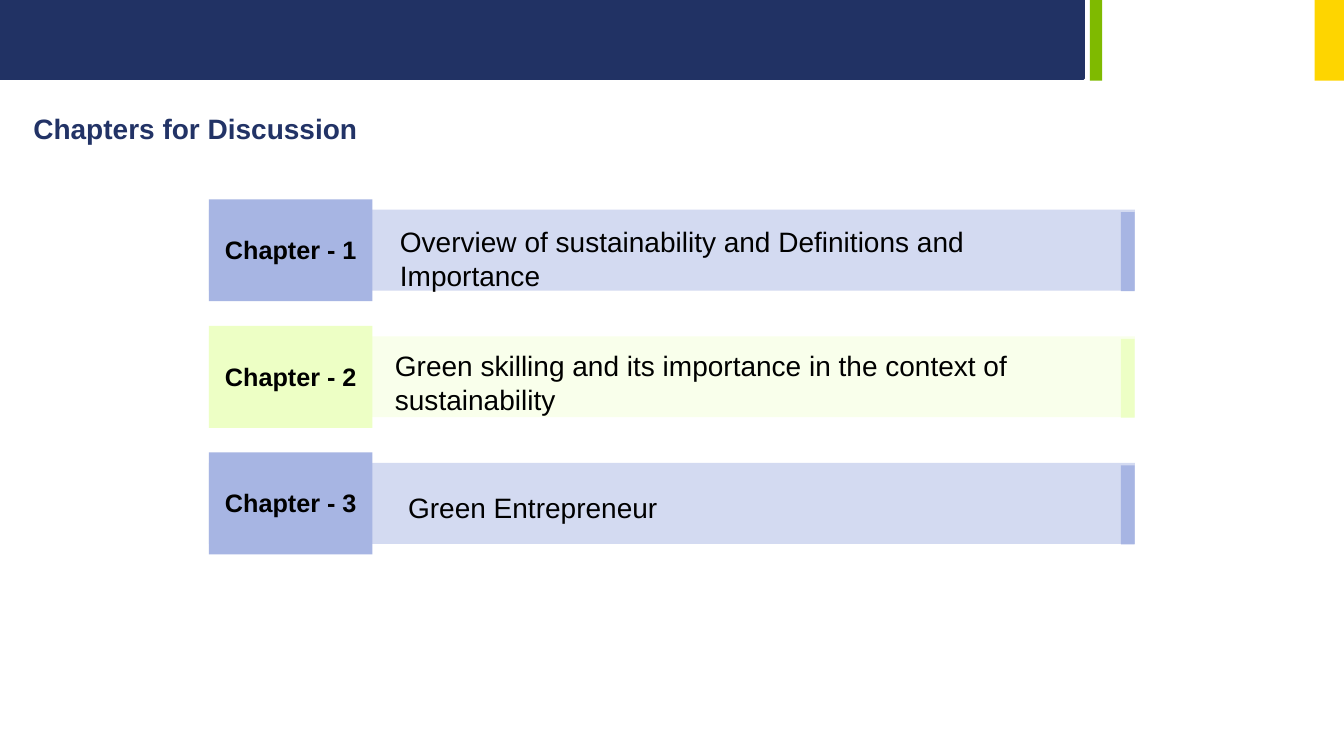
"""Build the slide that lists the chapters for discussion."""
import pptx
import pptx.dml.color
import pptx.enum.shapes
import pptx.enum.text
import pptx.util

Pt = pptx.util.Pt
SHAPE = pptx.enum.shapes.MSO_SHAPE
ALIGN = pptx.enum.text.PP_ALIGN

COLORS = {
    "navy": "213264",
    "green": "7FBA00",
    "yellow": "FED500",
    "title": "223366",
    "black": "000000",
    "blue": "A7B5E3",
    "pale blue": "D3DAF1",
    "lime": "EDFFC5",
    "pale lime": "F9FFEB",
}
WIDE_INSETS = (9.4, 4.8)
NORMAL_INSETS = (7.2, 3.6)
CHAPTER_TOP = 142.4
CHAPTER_PITCH = 90.4
CHAPTER_LEFT = 149.2
CHAPTERS = [
    ("blue", "Overview of sustainability and Definitions and Importance", (278.6, 157, 480, 55.4)),
    ("lime", "Green skilling and its importance in the context of sustainability", (275, 245.5, 480, 55.4)),
    ("blue", "Green Entrepreneur", (284.4, 347, 480, 31.7)),
]


def rgb(color):
    """Return the named colour as an RGB value."""
    return pptx.dml.color.RGBColor.from_string(COLORS[color])


def add_block(shapes, box, color, geometry=SHAPE.RECTANGLE, line_width=None):
    """Add a filled block, outlined in its own colour if a line width is given."""
    shape = shapes.add_shape(geometry, *map(Pt, box))
    shape.shadow.inherit = False
    shape.fill.solid()
    shape.fill.fore_color.rgb = rgb(color)
    if line_width:
        shape.line.color.rgb = rgb(color)
        shape.line.width = Pt(line_width)
    else:
        shape.line.fill.background()
    if geometry == SHAPE.ROUNDED_RECTANGLE:
        shape.adjustments[0] = 0


def add_text(shapes, box, text, insets=NORMAL_INSETS, color="black", alignment=None, **font_format):
    """Add a wrapped text box with one paragraph."""
    frame = shapes.add_textbox(*map(Pt, box)).text_frame
    horizontal, vertical = map(Pt, insets)
    frame_format = {
        "word_wrap": True,
        "auto_size": pptx.enum.text.MSO_AUTO_SIZE.SHAPE_TO_FIT_TEXT,
        "margin_left": horizontal,
        "margin_right": horizontal,
        "margin_top": vertical,
        "margin_bottom": vertical,
    }
    for name, value in frame_format.items():
        setattr(frame, name, value)
    paragraph = frame.paragraphs[0]
    paragraph.alignment = alignment
    run = paragraph.add_run()
    run.text = text
    for name, value in {"name": "Arial", "size": Pt(20), **font_format}.items():
        setattr(run.font, name, value)
    run.font.color.rgb = rgb(color)


def add_chapter(slide, number, color):
    """Add the grouped bar, label card and end accent of one chapter."""
    top = CHAPTER_TOP + (number - 1) * CHAPTER_PITCH
    shapes = slide.shapes.add_group_shape().shapes
    blocks = [
        ((CHAPTER_LEFT, top + 7.4, 661.4, 57.8), f"pale {color}"),
        ((CHAPTER_LEFT, top, 116.8, 72.8), color),
        ((800.6, top + 9.2, 9.8, 56.4), color),
    ]
    for box, fill in blocks:
        add_block(shapes, box, fill, SHAPE.ROUNDED_RECTANGLE)
    add_text(shapes, (149.6, top + 20.4, 116.2, 31.7), f"Chapter - {number}",
             WIDE_INSETS, alignment=ALIGN.CENTER, size=Pt(18), bold=True)


def main():
    """Build and save the presentation."""
    presentation = pptx.Presentation()
    presentation.slide_width = Pt(960)
    presentation.slide_height = Pt(540)
    slide = presentation.slides.add_slide(presentation.slide_layouts[6])
    add_block(slide.shapes, (0, 0, 774, 56), "navy", line_width=2)
    add_block(slide.shapes, (778.5, 0, 8.8, 57.6), "green")
    add_block(slide.shapes, (939, 0, 21, 57.6), "yellow")
    add_text(slide.shapes, (14.4, 75, 391, 33.8), "Chapters for Discussion",
             WIDE_INSETS, "title", bold=True)
    for number, (color, _, _) in enumerate(CHAPTERS, 1):
        add_chapter(slide, number, color)
    for _, topic, box in CHAPTERS:
        add_text(slide.shapes, box, topic)
    presentation.save("out.pptx")


if __name__ == "__main__":
    main()
